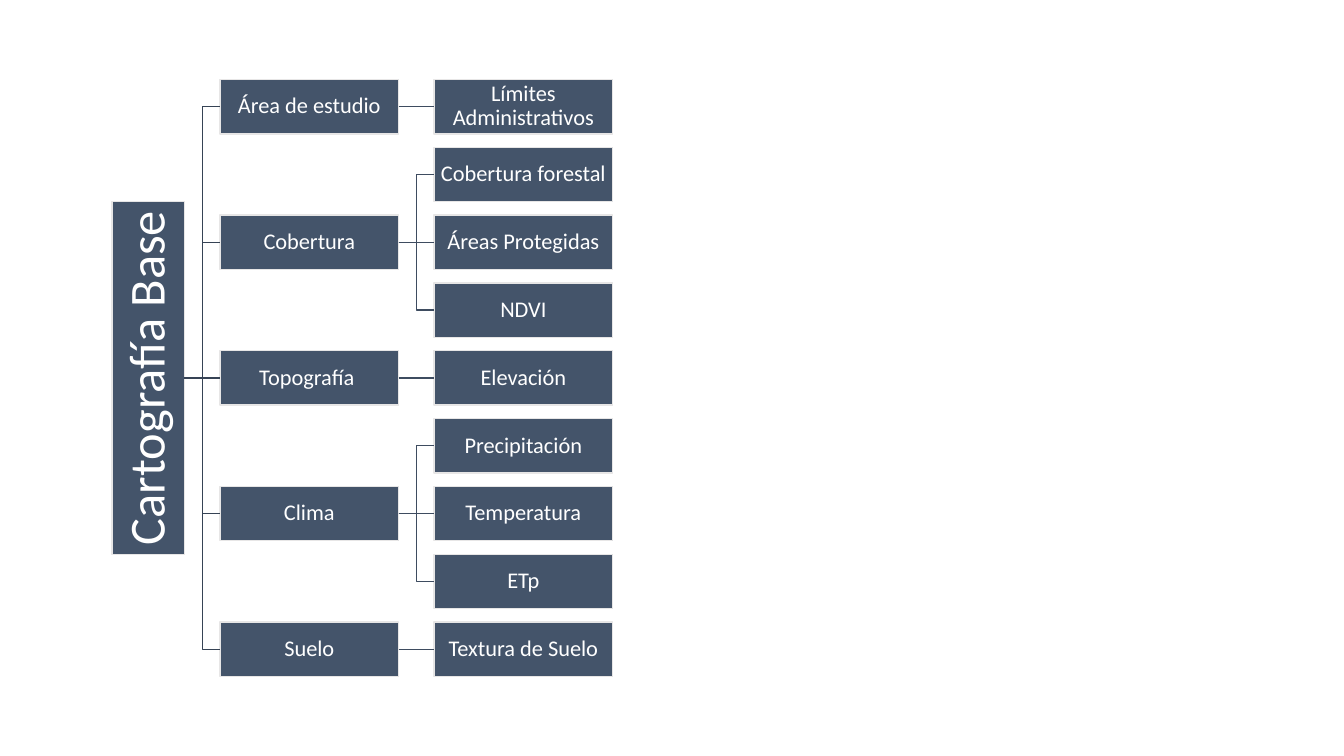
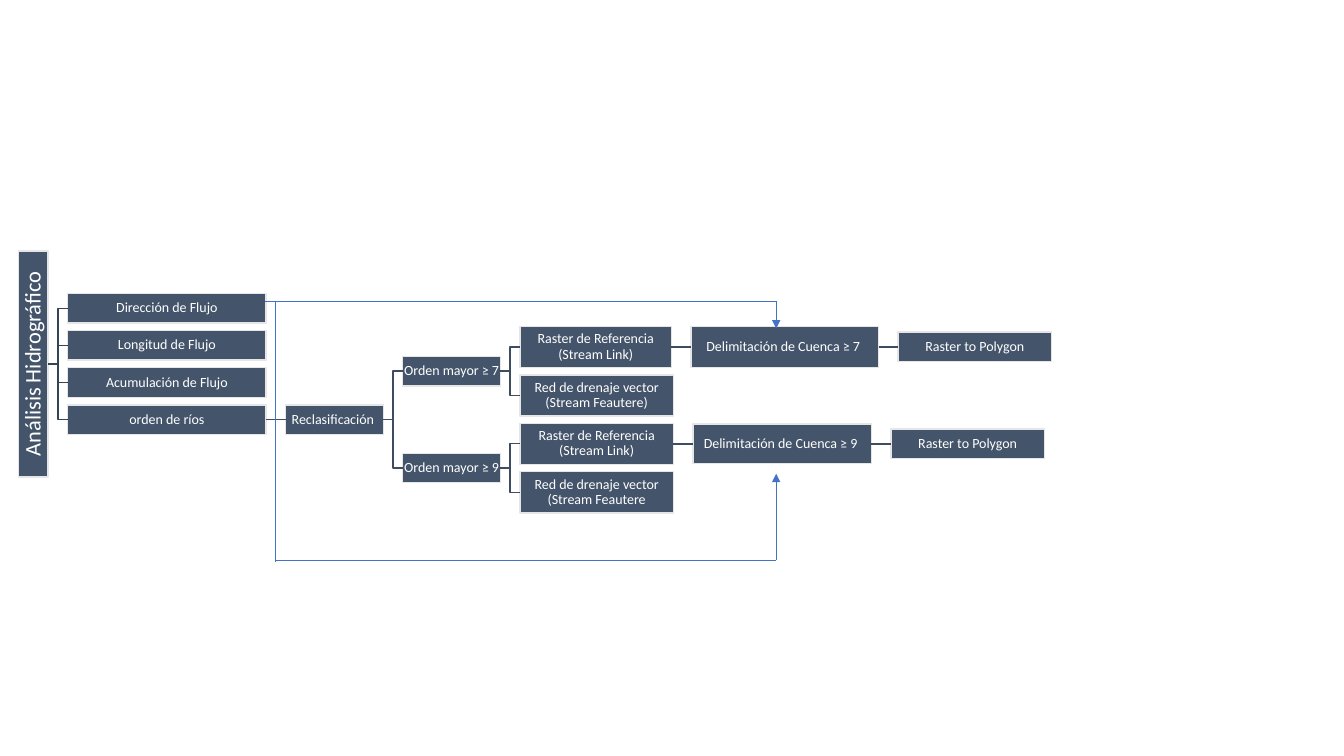
from collections import namedtuple
from lxml.etree import SubElement
from pptx import Presentation
from pptx.dml.color import RGBColor
from pptx.enum.shapes import MSO_CONNECTOR, MSO_SHAPE
from pptx.enum.text import MSO_ANCHOR, PP_ALIGN
from pptx.oxml.ns import qn
from pptx.util import Pt

Node = namedtuple("Node", "text width height pitch children", defaults=(0, ()))
Tree = namedtuple("Tree", "root left middle gap root_size size inset links")

FONT = "Calibri"
BOX, BORDER, WHITE = "44546A", "E7E6E6", "FFFFFF"
ROOT_LINE, BRANCH_LINE, FLOW_LINE = "364355", "3E4C60", "4472C4"

MAP_BOX = (127.5, 38.9)
MAP_PITCH = 48.45
MAP_GROUPS = [
    ("Área de estudio", ["Límites Administrativos"]),
    ("Cobertura", ["Cobertura forestal", "Áreas Protegidas", "NDVI"]),
    ("Topografía ", ["Elevación"]),
    ("Clima", ["Precipitación", "Temperatura", "ETp"]),
    ("Suelo", ["Textura de Suelo"]),
]
map_root = Node("Cartografía Base", 51.8, 252, 2 * MAP_PITCH, [
    Node(group, *MAP_BOX, MAP_PITCH, [Node(layer, *MAP_BOX) for layer in layers])
    for group, layers in MAP_GROUPS])

STEP_BOX = (141.8, 21.1)
ORDER_BOX = (69.8, 21.1)
RASTER_PITCH = 34.6
BASINS = [
    ("7", 108.2, (134.1, 29.4), "Red de drenaje vector (Stream Feautere)"),
    ("9", 109.6, (127.6, 28.1), "Red de drenaje vector (Stream Feautere"),
]
orders = [
    Node(f"Orden mayor ≥ {order}", *ORDER_BOX, RASTER_PITCH, [
        Node("Raster de Referencia (Stream Link)", raster_width, 29.4, 0, [
            Node(f"Delimitación de Cuenca ≥ {order} ", *basin_box, 0, [
                Node("Raster to Polygon", 109.6, 21.1)])]),
        Node(drainage, 109.6, 29.4)])
    for order, raster_width, basin_box, drainage in BASINS]
reclass = Node("Reclasificación ", *ORDER_BOX, 2 * RASTER_PITCH, orders)
steps = [Node(text, *STEP_BOX) for text in
         ("Dirección de Flujo", "Longitud de Flujo", "Acumulación de Flujo")]
steps.append(Node("orden de ríos", *STEP_BOX, 0, [reclass]))
hydro_root = Node("Análisis Hidrográfico", 21.1, 161.3, 26.5, steps)

FLOW_X, BASIN_X, TOP_Y, BOTTOM_Y = 196.6, 554.4, 215.3, 400.3
FLOW_LINKS = [
    ((189.4, TOP_Y), (BASIN_X, TOP_Y), False),
    ((BASIN_X, TOP_Y), (BASIN_X, 234.7), True),
    ((FLOW_X, BOTTOM_Y), (BASIN_X, BOTTOM_Y), False),
    ((FLOW_X, TOP_Y), (FLOW_X, 401.8), False),
    ((BASIN_X, BOTTOM_Y), (BASIN_X, 338.4), True),
]

TREES = [
    Tree(map_root, 80, 270, 25.4, 36, 16, 0.7, []),
    Tree(hydro_root, 13.3, 260, 13.9, 16, 10, 0.5, FLOW_LINKS),
]


def rgb(color):
    return RGBColor.from_string(color)


def add_line(s, start, end, color, width, arrow=False):
    straight = start[0] == end[0] or start[1] == end[1]
    kind = MSO_CONNECTOR.STRAIGHT if straight else MSO_CONNECTOR.ELBOW
    line = s.shapes.add_connector(kind, *map(Pt, start + end))
    line.line.color.rgb = rgb(color)
    line.line.width = Pt(width)
    if arrow:
        SubElement(line.line._get_or_add_ln(), qn("a:tailEnd"), type="triangle")
    SubElement(line._element.spPr, qn("a:effectLst"))
    return line


def add_box(s, node, x, y, size, inset, vertical):
    sp = s.shapes.add_shape(MSO_SHAPE.RECTANGLE, Pt(x), Pt(y - node.height / 2),
                            Pt(node.width), Pt(node.height))
    sp.shadow.inherit = False
    sp.fill.solid()
    sp.fill.fore_color.rgb = rgb(BOX)
    sp.line.color.rgb = rgb(BORDER)
    sp.line.width = Pt(1)
    tf = sp.text_frame
    tf.word_wrap = True
    tf.vertical_anchor = MSO_ANCHOR.MIDDLE
    tf.margin_left = tf.margin_right = tf.margin_top = tf.margin_bottom = Pt(inset)
    if vertical:
        tf._txBody.bodyPr.set("vert", "vert270")
    tf.text = node.text
    p = tf.paragraphs[0]
    p.alignment = PP_ALIGN.CENTER
    p.line_spacing = 0.9
    font = p.runs[0].font
    font.name, font.size = FONT, Pt(size)
    font.color.rgb = rgb(WHITE)
    return sp


def add_branch(s, tree, node, x, y):
    is_root = node is tree.root
    sp = add_box(s, node, x, y, tree.root_size if is_root else tree.size,
                 tree.inset, is_root)
    right = x + node.width
    child_x = right + tree.gap
    for i, child in enumerate(node.children):
        child_y = y + (i - (len(node.children) - 1) / 2) * node.pitch
        child_sp = add_branch(s, tree, child, child_x, child_y)
        line = add_line(s, (right, y), (child_x, child_y),
                        ROOT_LINE if is_root else BRANCH_LINE, 1)
        line.begin_connect(sp, 3)
        line.end_connect(child_sp, 1)
    return sp


prs = Presentation()
prs.slide_width, prs.slide_height = Pt(960), Pt(540)
for tree in TREES:
    s = prs.slides.add_slide(prs.slide_layouts[6])
    add_branch(s, tree, tree.root, tree.left, tree.middle)
    for start, end, arrow in tree.links:
        add_line(s, start, end, FLOW_LINE, 0.5, arrow)
prs.save("out.pptx")
